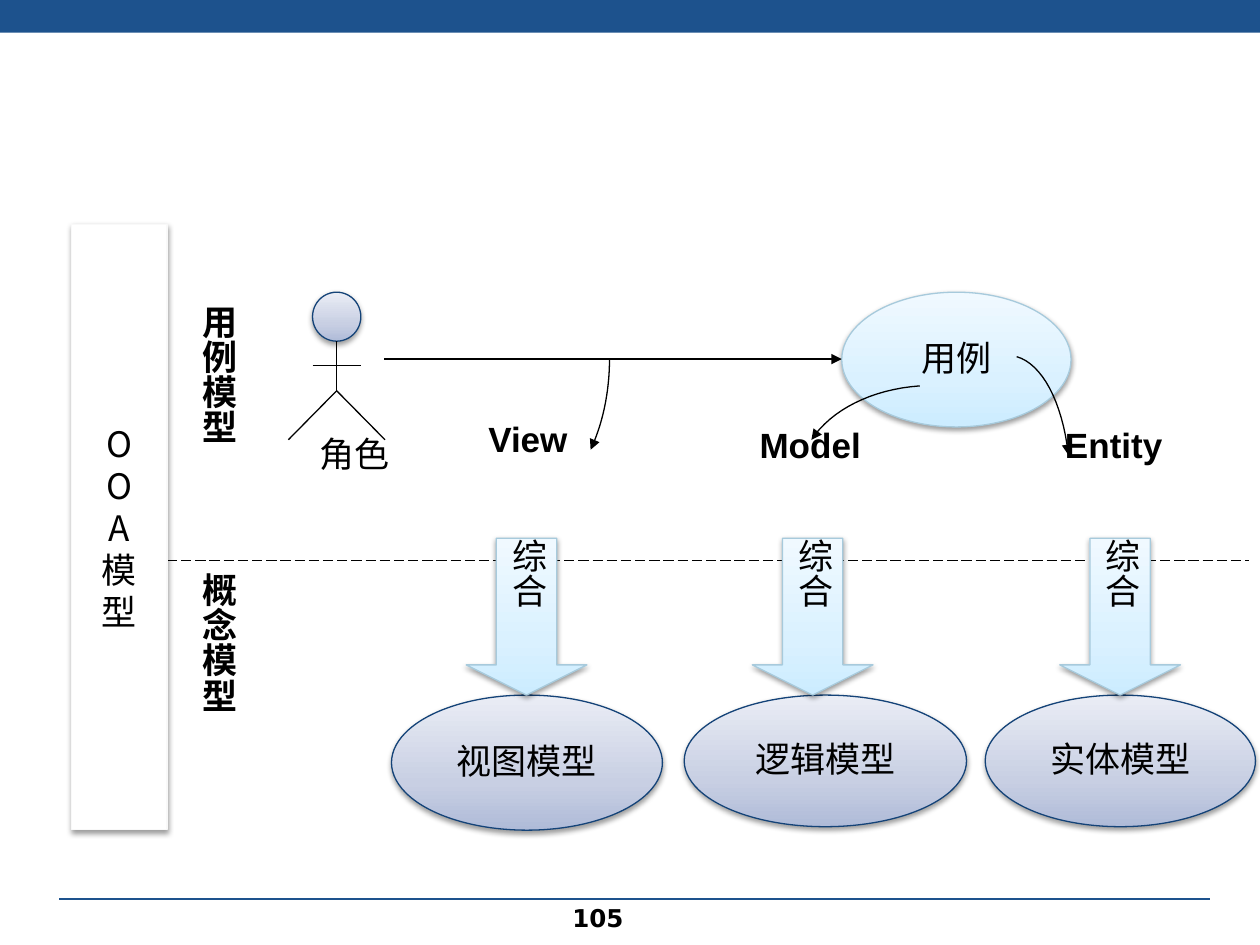
from dataclasses import dataclass

from lxml.etree import SubElement
from pptx import Presentation
from pptx.dml.color import RGBColor
from pptx.enum.dml import MSO_LINE_DASH_STYLE as Dash
from pptx.enum.shapes import MSO_CONNECTOR as Connector, MSO_SHAPE as Preset
from pptx.enum.text import MSO_ANCHOR as Anchor, PP_ALIGN as Align
from pptx.oxml.ns import qn
from pptx.util import Pt


@dataclass(frozen=True)
class Theme:
    brand: str = "1D528D"
    ink: str = "000000"
    paper: str = "FFFFFF"
    panel_edge: str = "F9F9F9"
    navy_edge: str = "144378"
    sky_edge: str = "A7CADC"
    navy: tuple = ((0, "AFBBD8"), (35, "C8CFE3"), (100, "EAEDF5"))
    sky: tuple = ((0, "CCECFF"), (35, "DAF1FF"), (100, "F0F9FF"))
    body: float = 20
    page: float = 14
    stroke: float = 0.75
    font: str = "Arial"
    cjk_font: str = "Noto Sans CJK SC"
    page_font: str = "DejaVu Sans"


THEME = Theme()
PLAIN_INSETS = (7.2, 3.6, 7.2, 3.6)
LABEL_INSETS = (7.2, 0, 7.2, 3.6)


def write_text(shape, text, size=THEME.body, font=THEME.font, bold=False, spacing=0.96,
               align=Align.CENTER, anchor=Anchor.TOP, insets=PLAIN_INSETS,
               wrap=True, vertical=False):
    frame = shape.text_frame
    frame.word_wrap = wrap
    frame.vertical_anchor = anchor
    frame.margin_left, frame.margin_top, frame.margin_right, frame.margin_bottom = map(Pt, insets)
    if vertical:
        frame._txBody.find(qn("a:bodyPr")).set("vert", "eaVert")
    frame.text = text
    for paragraph in frame.paragraphs:
        paragraph.alignment = align
        paragraph.line_spacing = spacing
        for run in paragraph.runs:
            run.font.size = Pt(size)
            run.font.bold = bold
            run.font.name = font
            run.font.color.rgb = RGBColor.from_string(THEME.ink)
            SubElement(run.font._element, qn("a:ea"), typeface=THEME.cjk_font)


def add_label(slide, box, text, **text_format):
    write_text(slide.shapes.add_textbox(*map(Pt, box)), text, **text_format)


def paint_gradient(shape, stops):
    shape.fill.gradient()
    shape.fill.gradient_angle = 90
    stop_list = shape._element.spPr.find(qn("a:gradFill")).find(qn("a:gsLst"))
    stop_list.clear()
    for position, color in stops:
        stop = SubElement(stop_list, qn("a:gs"), pos=str(position * 1000))
        SubElement(stop, qn("a:srgbClr"), val=color)


def add_shadow(shape):
    effects = shape._element.spPr.find(qn("a:effectLst"))
    shadow = SubElement(effects, qn("a:outerShdw"), blurRad="40000", dist="20000",
                        dir="5400000", rotWithShape="0")
    color = SubElement(shadow, qn("a:srgbClr"), val=THEME.ink)
    SubElement(color, qn("a:alpha"), val="38000")


def add_block(slide, preset, box, fill, edge=None, text=None, **text_format):
    shape = slide.shapes.add_shape(preset, *map(Pt, box))
    shape.shadow.inherit = False
    if isinstance(fill, tuple):
        paint_gradient(shape, fill)
    else:
        shape.fill.solid()
        shape.fill.fore_color.rgb = RGBColor.from_string(fill)
    if edge:
        style_line(shape, edge)
        add_shadow(shape)
    else:
        shape.line.fill.background()
    if text:
        write_text(shape, text, anchor=Anchor.MIDDLE, **text_format)
    return shape


def style_line(shape, color=THEME.ink, dash=None, arrow=False):
    shape.line.width = Pt(THEME.stroke)
    shape.line.fill.solid()
    shape.line.fill.fore_color.rgb = RGBColor.from_string(color)
    if dash:
        shape.line.dash_style = dash
    if arrow:
        SubElement(shape._element.spPr.find(qn("a:ln")), qn("a:tailEnd"), type="triangle")


def add_line(slide, start, end, **line_format):
    line = slide.shapes.add_connector(Connector.STRAIGHT, *map(Pt, start + end))
    style_line(line, **line_format)
    SubElement(line._element.spPr, qn("a:effectLst"))


def add_curved_arrow(slide, *controls, steps=16):
    points = []
    for step in range(steps + 1):
        t = step / steps
        weights = ((1 - t) ** 3, 3 * t * (1 - t) ** 2, 3 * t * t * (1 - t), t ** 3)
        points.append(tuple(Pt(sum(weight * control[axis]
                                   for weight, control in zip(weights, controls)))
                            for axis in (0, 1)))
    builder = slide.shapes.build_freeform(*points[0])
    builder.add_line_segments(points[1:], close=False)
    curve = builder.convert_to_shape()
    curve.shadow.inherit = False
    curve.fill.background()
    style_line(curve, arrow=True)


def add_actor(slide, center, top):
    head, neck, hip, foot = 27.6, top + 28, top + 56.3, top + 84.3
    add_block(slide, Preset.OVAL, (center - head / 2, top, head, 28),
              THEME.navy, THEME.navy_edge)
    add_line(slide, (center - head / 2, top + 42), (center + head / 2, top + 42))
    add_line(slide, (center, neck), (center, hip))
    for side in (-1, 1):
        add_line(slide, (center, hip), (center + side * head, foot))


def add_frame(slide):
    add_block(slide, Preset.RECTANGLE, (0, 0, 720, 18.7), THEME.brand)
    add_line(slide, (33.8, 513.8), (691.2, 513.8), color=THEME.brand)
    add_label(slide, (257.8, 512.6, 167.8, 23.8), "105", size=THEME.page,
              font=THEME.page_font, bold=True, spacing=1.0)


def add_use_case(slide):
    add_actor(slide, 192.4, 167)
    add_label(slide, (164.2, 243.4, 77, 75.6), "角色", spacing=1.0)
    add_block(slide, Preset.OVAL, (481, 167, 131, 77), THEME.sky, THEME.sky_edge, "用例")
    add_line(slide, (219.6, 205.2), (481, 205.2), arrow=True)
    add_curved_arrow(slide, (348.3, 205.2), (348.3, 224.6), (344.2, 242.6), (337.5, 257))
    add_curved_arrow(slide, (525.6, 220.5), (498.2, 222.5), (475.2, 234), (463.7, 251.3))
    add_curved_arrow(slide, (581, 203.8), (595.4, 208), (607, 229), (610.6, 260))
    add_label(slide, (428.4, 243.4, 67.7, 38), "Model", bold=True, wrap=False,
              insets=(1.5, 0, 0, 3.6))
    add_label(slide, (599, 243.4, 74.9, 38), "Entity", bold=True, wrap=False,
              insets=LABEL_INSETS)
    add_label(slide, (269.3, 243.4, 64.8, 38), "View", bold=True, wrap=False, spacing=0.8,
              insets=LABEL_INSETS)


def add_concepts(slide):
    concepts = (("视图模型", 223.7, 154.8, 77.2, 300.9),
                ("逻辑模型", 391, 161.3, 75.2, 464.4),
                ("实体模型", 563, 154.4, 75.2, 640.1))
    for text, left, width, height, _ in concepts:
        add_block(slide, Preset.OVAL, (left, 397.2, width, height),
                  THEME.navy, THEME.navy_edge, text)
    for *_, center in concepts:
        arrow = add_block(slide, Preset.DOWN_ARROW, (center - 34.5, 307.6, 69, 89.6),
                          THEME.sky, THEME.sky_edge, "综合", align=Align.LEFT,
                          insets=LABEL_INSETS, vertical=True)
        arrow.adjustments[0] = 0.5
        arrow.adjustments[1] = 0.25


def add_layers(slide):
    add_line(slide, (95.4, 320.4), (713.5, 320.4), dash=Dash.LONG_DASH)
    for text, top, height in (("用例模型", 167, 192.2), ("概念模型", 320.4, 154.1)):
        add_label(slide, (95, top, 43.9, height), text, bold=True, align=Align.LEFT,
                  insets=(1.4, 3.6, 7.2, 3.6), vertical=True)
    add_block(slide, Preset.RECTANGLE, (41, 128.2, 54.4, 345.9), THEME.paper,
              THEME.panel_edge, "O\nO\nA\n模型", font=THEME.cjk_font, spacing=1.0,
              insets=(10, 3.6, 10, 3.6))


def main():
    presentation = Presentation()
    presentation.slide_width, presentation.slide_height = Pt(720), Pt(540)
    slide = presentation.slides.add_slide(presentation.slide_layouts[6])
    add_frame(slide)
    add_use_case(slide)
    add_layers(slide)
    add_concepts(slide)
    presentation.save("out.pptx")


if __name__ == "__main__":
    main()
